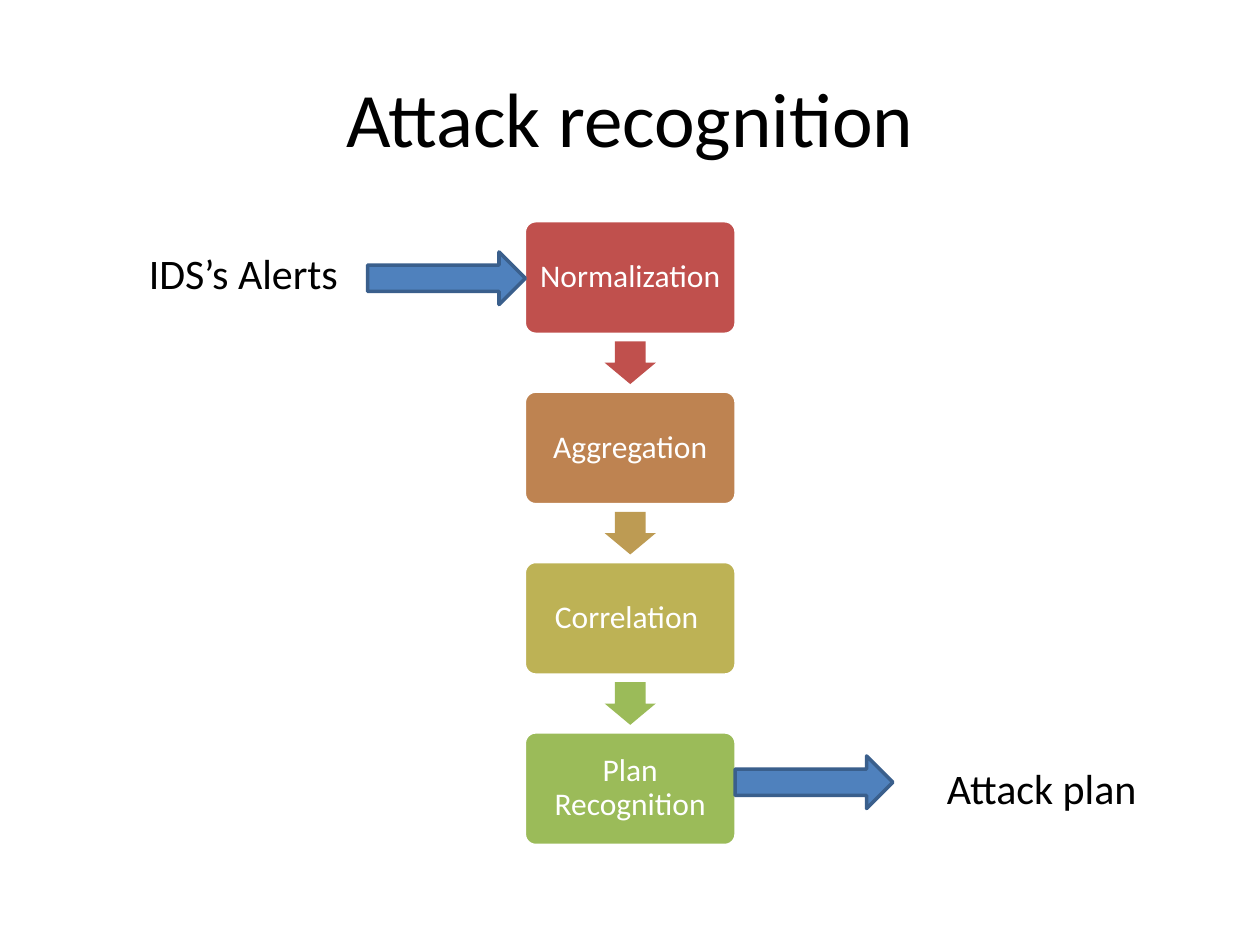
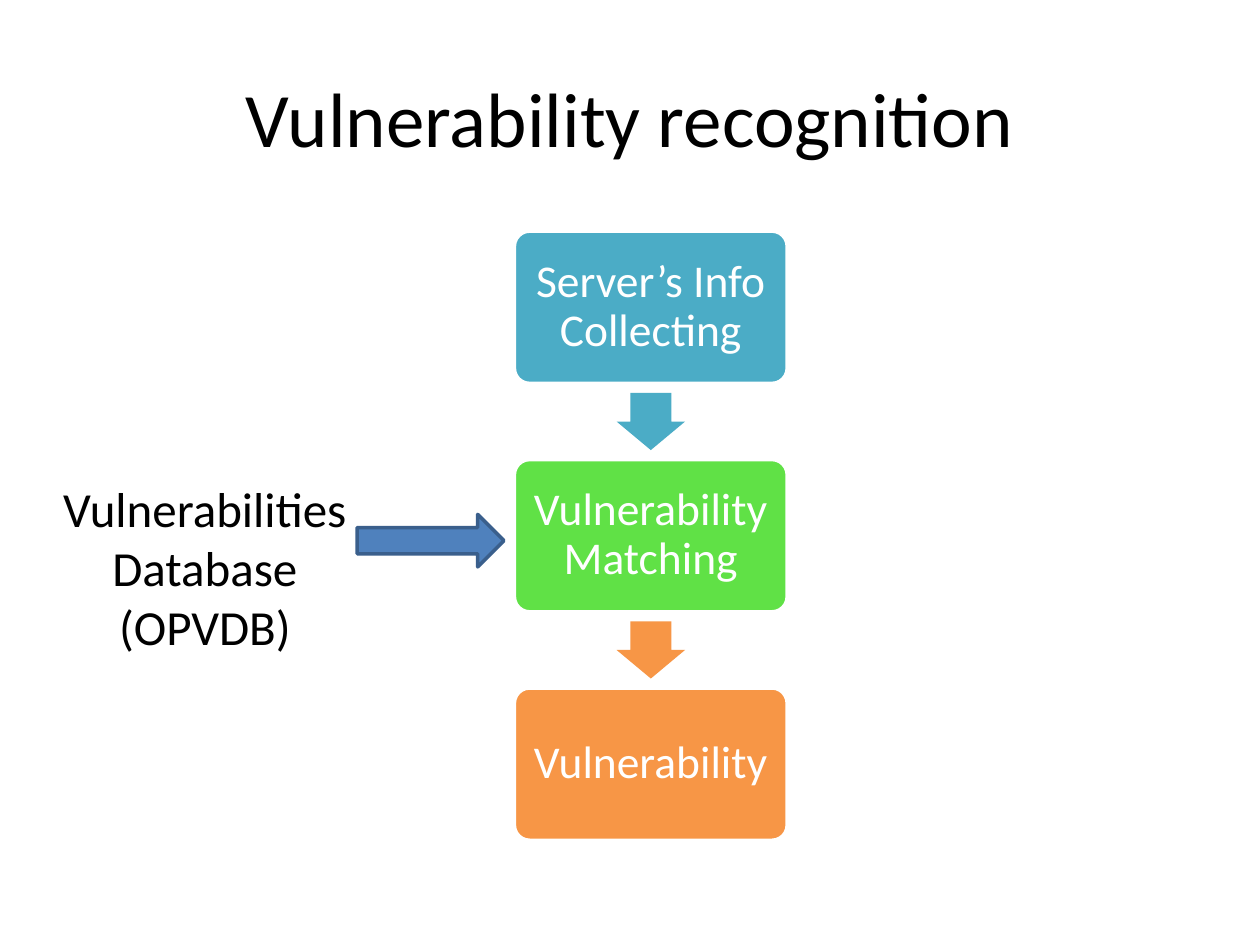
"""Build two slides showing the recognition flows for attacks and vulnerabilities."""
import pptx
import pptx.dml.color
import pptx.enum.shapes
import pptx.enum.text
import pptx.util

Cm = pptx.util.Cm
Pt = pptx.util.Pt
SHAPE = pptx.enum.shapes.MSO_SHAPE
ALIGN = pptx.enum.text.PP_ALIGN
MIDDLE = pptx.enum.text.MSO_ANCHOR.MIDDLE

FONT = "Calibri"
BLACK = "000000"
WHITE = "FFFFFF"
BLUE = "4F81BD"
DARK_BLUE = "3A5F8C"
RED = "C0504D"
GREEN = "9BBB59"
TEAL = "4BACC6"
ORANGE = "F79646"
SIDE_ARROW_HEIGHT = 1.06


def rgb(value):
    return pptx.dml.color.RGBColor.from_string(value)


def add_span(para, text, size, color):
    span = para.add_run()
    span.text = text
    span.font.name = FONT
    span.font.size = Pt(size)
    span.font.color.rgb = rgb(color)


def add_titled_slide(deck, text):
    slide = deck.slides.add_slide(deck.slide_layouts[5])
    title = slide.shapes.title
    title.left, title.top = Cm(1.27), Cm(0.76)
    title.width, title.height = Cm(22.86), Cm(3.18)
    title.text_frame.vertical_anchor = MIDDLE
    para = title.text_frame.paragraphs[0]
    para.alignment = ALIGN.CENTER
    add_span(para, text, 44, BLACK)
    return slide


def add_filled_shape(slide, kind, left, top, width, height, fill, line=None):
    shape = slide.shapes.add_shape(kind, Cm(left), Cm(top), Cm(width), Cm(height))
    shape.shadow.inherit = False
    shape.fill.solid()
    shape.fill.fore_color.rgb = rgb(fill)
    if line:
        shape.line.color.rgb = rgb(line)
        shape.line.width = Pt(2)
    else:
        shape.line.fill.background()
    return shape


def add_step(slide, left, top, width, height, text, fill, size, inset):
    box = add_filled_shape(slide, SHAPE.ROUNDED_RECTANGLE, left, top, width, height, fill, WHITE)
    box.adjustments[0] = 0.1
    frame = box.text_frame
    frame.word_wrap = True
    frame.vertical_anchor = MIDDLE
    frame.margin_left = frame.margin_right = Cm(inset)
    frame.margin_top = frame.margin_bottom = Cm(inset)
    para = frame.paragraphs[0]
    para.alignment = ALIGN.CENTER
    para.line_spacing = 0.9
    add_span(para, text, size, WHITE)


def add_down_arrow(slide, center_x, center_y, length, thickness, fill):
    arrow = add_filled_shape(slide, SHAPE.RIGHT_ARROW, center_x - length / 2,
                             center_y - thickness / 2, length, thickness, fill)
    arrow.rotation = 90
    arrow.adjustments[0] = 0.6
    arrow.adjustments[1] = 0.5


def add_flow(slide, left, top, width, height, steps, arrow_fills, size, inset):
    pitch = 1.5 * height
    for index, (text, fill) in enumerate(steps):
        add_step(slide, left, top + index * pitch, width, height, text, fill, size, inset)
    for index, fill in enumerate(arrow_fills):
        add_down_arrow(slide, left + width / 2, top + index * pitch + 1.25 * height,
                       0.375 * height, 0.45 * height, fill)


def add_side_arrow(slide, left, top, width):
    add_filled_shape(slide, SHAPE.RIGHT_ARROW, left, top, width, SIDE_ARROW_HEIGHT,
                     BLUE, DARK_BLUE)


def add_label(slide, left, top, width, height, lines, size, align=ALIGN.LEFT):
    box = slide.shapes.add_textbox(Cm(left), Cm(top), Cm(width), Cm(height))
    frame = box.text_frame
    frame.word_wrap = True
    for index, line in enumerate(lines):
        para = frame.add_paragraph() if index else frame.paragraphs[0]
        para.alignment = align
        add_span(para, line, size, BLACK)


def build_attack_slide(deck):
    slide = add_titled_slide(deck, "Attack recognition")
    steps = [("Normalization", RED), ("Aggregation", "BE8351"),
             ("Correlation ", "BDB255"), ("Plan Recognition", GREEN)]
    add_flow(slide, 10.57, 4.45, 4.27, 2.29, steps, [RED, "BD9B53", GREEN], 18, 0.13)
    add_side_arrow(slide, 7.41, 5.08, 3.18)
    add_label(slide, 2.75, 4.87, 4.87, 1.28, ["IDS’s Alerts"], 24)
    add_side_arrow(slide, 14.82, 15.24, 3.18)
    add_label(slide, 18.84, 15.24, 4.87, 1.28, ["Attack plan"], 24)


def build_vulnerability_slide(deck):
    slide = add_titled_slide(deck, "Vulnerability recognition")
    steps = [("Server’s Info Collecting", TEAL), ("Vulnerability Matching", "60E146"),
             ("Vulnerability", ORANGE)]
    add_flow(slide, 10.37, 4.66, 5.5, 3.07, steps, [TEAL, ORANGE], 26, 0.2)
    add_side_arrow(slide, 7.2, 10.37, 2.96)
    add_label(slide, 0.85, 9.53, 6.56, 3.84, ["Vulnerabilities Database", "(OPVDB)"],
              28, ALIGN.CENTER)


def main():
    deck = pptx.Presentation()
    deck.slide_width = Cm(25.4)
    deck.slide_height = Cm(19.05)
    build_attack_slide(deck)
    build_vulnerability_slide(deck)
    deck.save("out.pptx")


if __name__ == "__main__":
    main()
